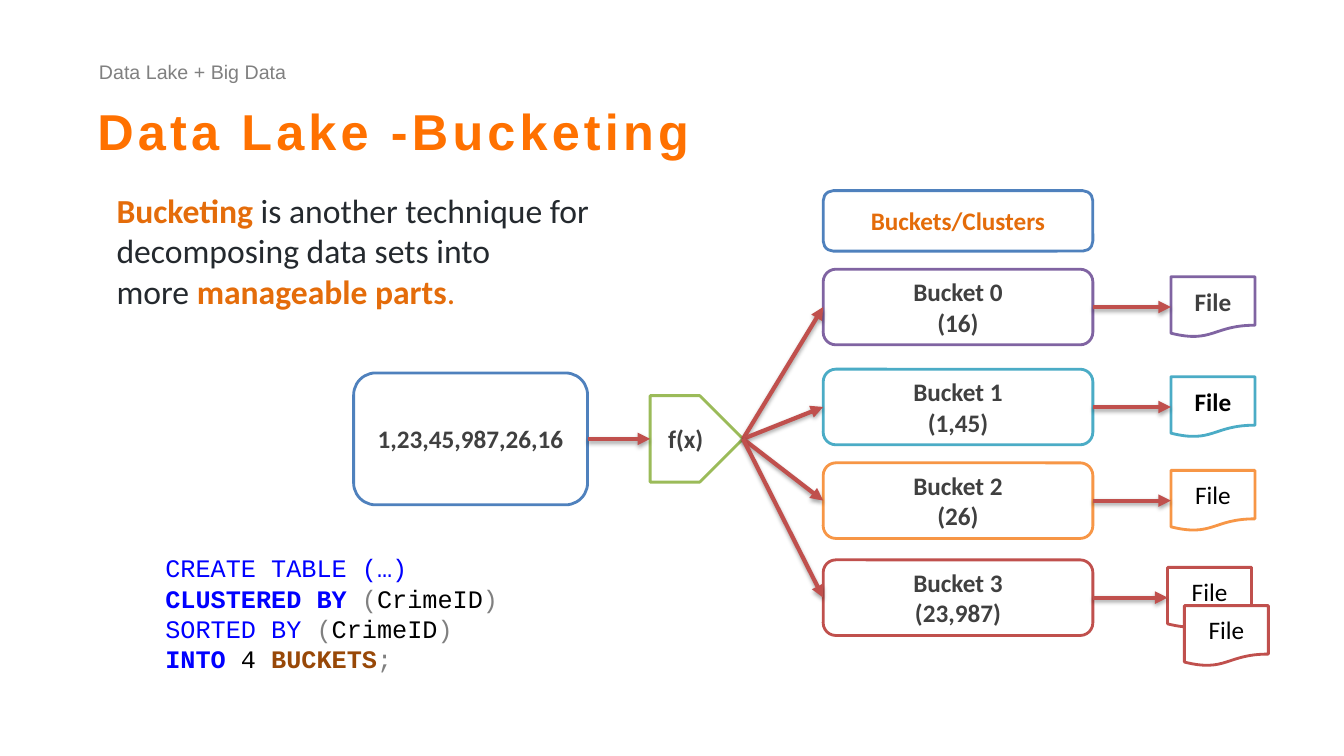
"""Build the slide on bucketing in a data lake."""
from dataclasses import dataclass

from lxml.etree import SubElement
from pptx import Presentation
from pptx.dml.color import RGBColor
from pptx.enum.shapes import MSO_CONNECTOR, MSO_SHAPE
from pptx.enum.text import MSO_ANCHOR, PP_ALIGN
from pptx.oxml import parse_xml
from pptx.oxml.ns import nsdecls, qn
from pptx.util import Inches, Pt

SLIDE_WIDTH, SLIDE_HEIGHT = Inches(13.33), Inches(7.5)
COLUMN, ROW = SLIDE_WIDTH / 160, SLIDE_HEIGHT / 90

WHITE = RGBColor(0xFF, 0xFF, 0xFF)
BLACK = RGBColor(0x00, 0x00, 0x00)
GRAY = RGBColor(0x80, 0x80, 0x80)
CHARCOAL = RGBColor(0x40, 0x40, 0x40)
INK = RGBColor(0x24, 0x29, 0x2E)
TITLE_ORANGE = RGBColor(0xFF, 0x71, 0x00)
ACCENT = RGBColor(0xE4, 0x6C, 0x0A)
BLUE = RGBColor(0x4F, 0x81, 0xBD)
PURPLE = RGBColor(0x80, 0x64, 0xA2)
TEAL = RGBColor(0x4B, 0xAC, 0xC6)
ORANGE = RGBColor(0xF7, 0x96, 0x46)
RED = RGBColor(0xC0, 0x50, 0x4D)
GREEN = RGBColor(0x9B, 0xBB, 0x59)
KEYWORD = RGBColor(0x00, 0x00, 0xFF)
BROWN = RGBColor(0x98, 0x48, 0x07)

TOP, LEFT, BOTTOM, RIGHT = range(4)
BUCKET_LEFT, BUCKET_WIDTH, BUCKET_HEIGHT = 98, 32.1, 9
FILE_WIDTH, FILE_HEIGHT = 10, 7.2
SHADOW = (
    f'<a:effectLst {nsdecls("a")}><a:outerShdw blurRad="39370" dist="22860" '
    'dir="5400000" rotWithShape="0"><a:srgbClr val="000000">'
    '<a:alpha val="35000"/></a:srgbClr></a:outerShdw></a:effectLst>'
)


@dataclass(frozen=True)
class Area:
    left: float
    top: float
    width: float
    height: float

    def lengths(self) -> tuple:
        return (round(self.left * COLUMN), round(self.top * ROW),
                round(self.width * COLUMN), round(self.height * ROW))


@dataclass(frozen=True)
class Span:
    text: str
    color: RGBColor
    bold: bool = False


@dataclass(frozen=True)
class Bucket:
    top: float
    name: str
    values: str
    color: RGBColor
    file_left: float = 139.4
    file_color: RGBColor = BLACK
    file_bold: bool = False


BUCKETS = [
    Bucket(32.05, "Bucket 0", "(16)", PURPLE, file_color=CHARCOAL, file_bold=True),
    Bucket(43.95, "Bucket 1", "(1,45)", TEAL, file_bold=True),
    Bucket(55.1, "Bucket 2", "(26)", ORANGE),
    Bucket(66.65, "Bucket 3", "(23,987)", RED, file_left=139),
]
INTRO = [
    [Span("Bucketing ", ACCENT, True),
     Span("is another technique for decomposing data sets into", INK)],
    [Span("more ", INK), Span("manageable parts", ACCENT, True), Span(".", ACCENT)],
]
COLUMN_NAME = [Span("(", GRAY), Span("CrimeID", BLACK), Span(")", GRAY)]
QUERY = [
    [Span("CREATE TABLE (…)", KEYWORD)],
    [Span("CLUSTERED BY ", KEYWORD, True), *COLUMN_NAME],
    [Span("SORTED BY ", KEYWORD), *COLUMN_NAME],
    [Span("INTO", KEYWORD, True), Span(" 4 ", BLACK),
     Span("BUCKETS", BROWN, True), Span(";", GRAY)],
]


def write(frame, lines: list, *, size: float = 18, font: str = "Calibri",
          align=PP_ALIGN.LEFT, anchor=MSO_ANCHOR.TOP, spacing: float = 0) -> None:
    frame.word_wrap = True
    frame.vertical_anchor = anchor
    for index, line in enumerate(lines):
        para = frame.add_paragraph() if index else frame.paragraphs[0]
        para.alignment = align
        for span in line:
            run = para.add_run()
            run.text = span.text
            run.font.size = Pt(size)
            run.font.name = font
            run.font.bold = span.bold
            run.font.color.rgb = span.color
            if spacing:
                run.font._element.set("spc", str(round(spacing * 100)))


def add_text(page, area: Area, lines: list, **text_format) -> None:
    box = page.shapes.add_textbox(*area.lengths())
    write(box.text_frame, lines, **text_format)


def add_box(page, kind, area: Area, outline: RGBColor, *labels: str,
            color: RGBColor = CHARCOAL, bold: bool = True):
    box = page.shapes.add_shape(kind, *area.lengths())
    box.shadow.inherit = False
    box.fill.solid()
    box.fill.fore_color.rgb = WHITE
    box.line.color.rgb = outline
    box.line.width = Pt(2)
    write(box.text_frame, [[Span(label, color, bold)] for label in labels],
          align=PP_ALIGN.CENTER, anchor=MSO_ANCHOR.MIDDLE)
    return box


def add_file(page, left: float, top: float, bucket: Bucket):
    return add_box(page, MSO_SHAPE.FLOWCHART_DOCUMENT,
                   Area(left, top, FILE_WIDTH, FILE_HEIGHT), bucket.color, "File",
                   color=bucket.file_color, bold=bucket.file_bold)


def add_arrow(page, start, end) -> None:
    arrow = page.shapes.add_connector(MSO_CONNECTOR.STRAIGHT, 0, 0, 0, 0)
    arrow.begin_connect(start, RIGHT)
    arrow.end_connect(end, LEFT)
    arrow.line.color.rgb = RED
    arrow.line.width = Pt(3)
    properties = arrow._element.spPr
    SubElement(properties.find(qn("a:ln")), qn("a:tailEnd"), type="triangle")
    properties.append(parse_xml(SHADOW))


def add_flow(page) -> None:
    rounded = MSO_SHAPE.ROUNDED_RECTANGLE
    source = add_box(page, rounded, Area(42.1, 44.4, 27.85, 15.7), BLUE,
                     "1,23,45,987,26,16")
    function = add_box(page, MSO_SHAPE.PENTAGON, Area(77.4, 47.1, 11.05, 10.3),
                       GREEN, "f(x)")
    add_arrow(page, source, function)
    add_box(page, rounded, Area(BUCKET_LEFT, 22.7, BUCKET_WIDTH, FILE_HEIGHT), BLUE,
            "Buckets/Clusters", color=ACCENT)
    for bucket in BUCKETS:
        area = Area(BUCKET_LEFT, bucket.top, BUCKET_WIDTH, BUCKET_HEIGHT)
        box = add_box(page, rounded, area, bucket.color, bucket.name, bucket.values)
        file_top = bucket.top + (BUCKET_HEIGHT - FILE_HEIGHT) / 2
        file = add_file(page, bucket.file_left, file_top, bucket)
        add_arrow(page, function, box)
        add_arrow(page, box, file)
    add_file(page, 141, 72.1, BUCKETS[-1])


def main() -> None:
    deck = Presentation()
    deck.slide_width, deck.slide_height = SLIDE_WIDTH, SLIDE_HEIGHT
    page = deck.slides.add_slide(deck.slide_layouts[6])
    add_text(page, Area(10.6, 6.6, 96.4, 4.1),
             [[Span("Data Lake + Big Data", GRAY)]], size=14, font="Arial")
    add_text(page, Area(10.4, 11.3, 74.5, 12.6),
             [[Span("Data Lake -Bucketing", TITLE_ORANGE, True)]],
             size=36, font="Arial", spacing=3)
    add_flow(page)
    add_text(page, Area(12.7, 22, 60, 15.7), INTRO, size=24)
    add_text(page, Area(18.5, 65.2, 60, 15.7), QUERY, font="Courier New")
    deck.save("out.pptx")


if __name__ == "__main__":
    main()
